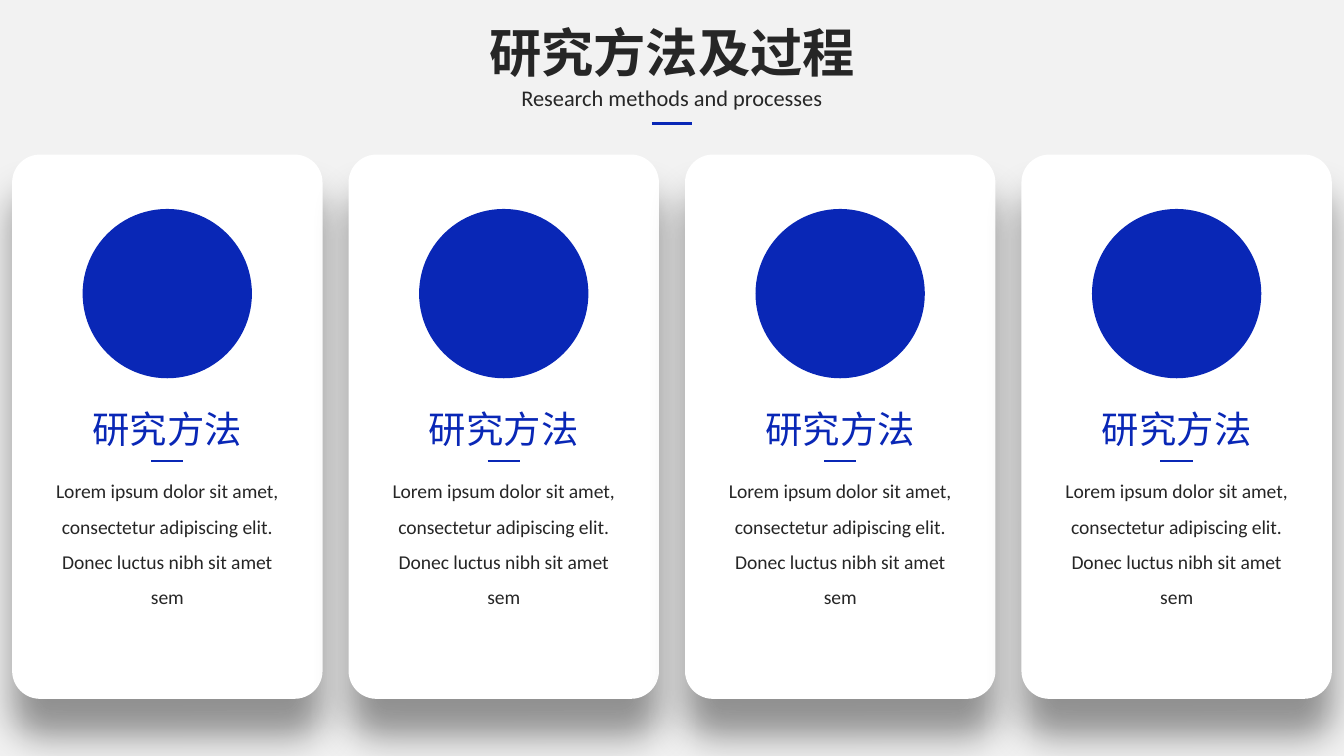
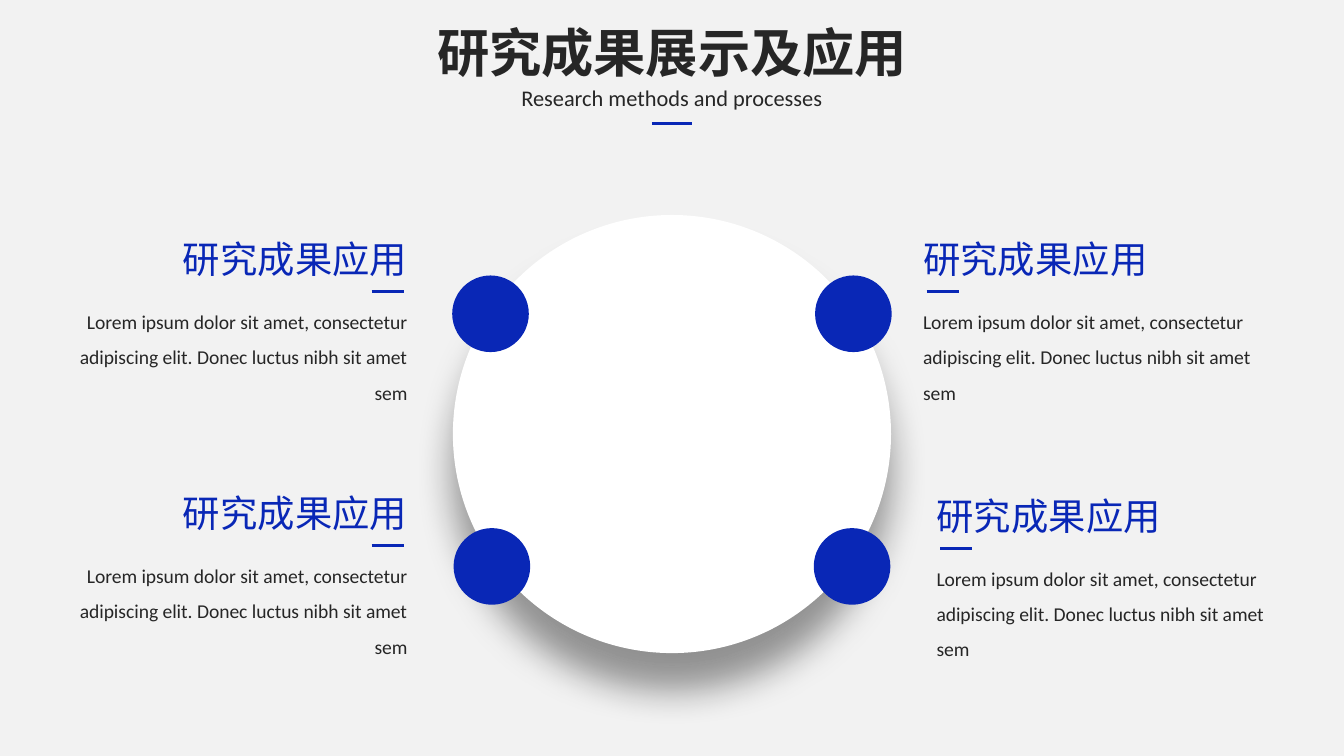
from dataclasses import dataclass

from lxml.etree import SubElement
from pptx import Presentation
from pptx.dml.color import RGBColor as Rgb
from pptx.enum.shapes import MSO_CONNECTOR as Connector
from pptx.enum.shapes import MSO_SHAPE as Preset
from pptx.enum.text import MSO_AUTO_SIZE as AutoSize
from pptx.enum.text import PP_ALIGN as Align
from pptx.oxml.ns import qn
from pptx.slide import Slide
from pptx.util import Inches, Pt


@dataclass(frozen=True)
class Theme:
    ground: str = "F2F2F2"
    panel: str = "FFFFFF"
    accent: str = "0927B6"
    ink: str = "262626"
    shade: str = "000000"
    cjk: str = "Noto Sans CJK SC"
    latin: str = "Calibri"
    title: float = 28
    subtitle: float = 12
    heading: float = 20
    body: float = 10.5
    rule: float = 1.5
    shadow_reach: float = 20
    shadow_opacity: int = 40


@dataclass(frozen=True)
class Area:
    """A place on the slide, in grid cells."""
    left: float
    top: float
    width: float
    height: float


@dataclass(frozen=True)
class TextStyle:
    font: str
    size: float
    color: str
    bold: bool = False
    spacing: float | None = None
    wrap: bool = False


@dataclass(frozen=True)
class Caption:
    """A heading, a short rule and a paragraph; anchor is the aligned edge or centre."""
    anchor: float
    rule_top: float
    align: Align
    heading: str
    width: float
    heading_width: float
    lines: int


THEME = Theme()
TITLE = TextStyle(THEME.cjk, THEME.title, THEME.ink, bold=True)
SUBTITLE = TextStyle(THEME.latin, THEME.subtitle, THEME.ink)
HEADING = TextStyle(THEME.cjk, THEME.heading, THEME.accent)
BODY = TextStyle(THEME.latin, THEME.body, THEME.ink, spacing=1.5, wrap=True)

# Square grid cells: 100 columns across a 16:9 slide
SLIDE_WIDTH = Inches(10)
SLIDE_HEIGHT = SLIDE_WIDTH * 9 // 16
COLUMNS = 100
CENTRE = COLUMNS / 2
RULE_WIDTH = 2.4
RULE_INSET = 1.25
HEADING_RISE = 4.6
LINE_HEIGHT = 2.65

LOREM = ("Lorem ipsum dolor sit amet, consectetur adipiscing elit. "
         "Donec luctus nibh sit amet sem")


def cells(count: float) -> int:
    return round(SLIDE_WIDTH * count / COLUMNS)


def aligned_left(anchor: float, width: float, align: Align) -> float:
    share = {Align.LEFT: 0, Align.CENTER: 0.5, Align.RIGHT: 1}[align]
    return anchor - width * share


def add_text(slide: Slide, area: Area, text: str, style: TextStyle, align: Align) -> None:
    box = slide.shapes.add_textbox(
        cells(area.left), cells(area.top), cells(area.width), cells(area.height))
    frame = box.text_frame
    frame.text = text
    frame.word_wrap = style.wrap
    frame.auto_size = AutoSize.SHAPE_TO_FIT_TEXT
    paragraph = frame.paragraphs[0]
    paragraph.alignment = align
    if style.spacing:
        paragraph.line_spacing = style.spacing
    for run in paragraph.runs:
        run.font.size = Pt(style.size)
        run.font.bold = style.bold
        run.font.color.rgb = Rgb.from_string(style.color)
        run.font.name = style.font
        SubElement(run.font._element, qn("a:ea"), typeface=style.font)


def add_rule(slide: Slide, left: float, top: float, width: float) -> None:
    rule = slide.shapes.add_connector(
        Connector.STRAIGHT, cells(left), cells(top), cells(left + width), cells(top))
    rule.line.color.rgb = Rgb.from_string(THEME.accent)
    rule.line.width = Pt(THEME.rule)
    SubElement(rule._element.spPr, qn("a:effectLst"))


def add_panel(slide: Slide, preset: Preset, area: Area, color: str,
              corner: float | None = None, raised: bool = False) -> None:
    panel = slide.shapes.add_shape(
        preset, cells(area.left), cells(area.top), cells(area.width), cells(area.height))
    panel.shadow.inherit = False
    panel.fill.solid()
    panel.fill.fore_color.rgb = Rgb.from_string(color)
    panel.line.fill.background()
    if corner is not None:
        panel.adjustments[0] = corner
    if raised:
        # Soft shadow falling straight down
        effects = panel._element.spPr.find(qn("a:effectLst"))
        reach = str(Pt(THEME.shadow_reach))
        shadow = SubElement(effects, qn("a:outerShdw"), blurRad=reach, dist=reach,
                            dir=str(90 * 60000), algn="t", rotWithShape="0")
        shade = SubElement(shadow, qn("a:srgbClr"), val=THEME.shade)
        SubElement(shade, qn("a:alpha"), val=str(THEME.shadow_opacity * 1000))


def add_disc(slide: Slide, centre_x: float, centre_y: float, size: float,
             color: str, raised: bool = False) -> None:
    area = Area(centre_x - size / 2, centre_y - size / 2, size, size)
    add_panel(slide, Preset.OVAL, area, color, raised=raised)


def add_caption(slide: Slide, caption: Caption) -> None:
    align, top = caption.align, caption.rule_top
    body_left = aligned_left(caption.anchor, caption.width, align)
    add_text(slide, Area(body_left, top, caption.width, 1 + caption.lines * LINE_HEIGHT),
             LOREM, BODY, align)
    heading_left = aligned_left(caption.anchor, caption.heading_width, align)
    add_text(slide, Area(heading_left, top - HEADING_RISE, caption.heading_width, 4.4),
             caption.heading, HEADING, align)
    inset = {Align.LEFT: RULE_INSET, Align.CENTER: 0, Align.RIGHT: -RULE_INSET}[align]
    add_rule(slide, aligned_left(caption.anchor + inset, RULE_WIDTH, align), top, RULE_WIDTH)


def add_titled_slide(deck: Presentation, title: str, title_width: float) -> Slide:
    slide = deck.slides.add_slide(deck.slide_layouts[6])
    slide.background.fill.solid()
    slide.background.fill.fore_color.rgb = Rgb.from_string(THEME.ground)
    add_text(slide, Area(CENTRE - title_width / 2, 1, title_width, 5.7),
             title, TITLE, Align.CENTER)
    add_text(slide, Area(CENTRE - 12.2, 5.8, 24.4, 3),
             "Research methods and processes", SUBTITLE, Align.CENTER)
    add_rule(slide, CENTRE - 1.5, 9.2, 3)
    return slide


def build_methods(deck: Presentation) -> None:
    slide = add_titled_slide(deck, "研究方法及过程", 29.5)
    count, margin, card_width = 4, 0.9, 23.1
    pitch = (COLUMNS - 2 * margin - card_width) / (count - 1)
    lefts = [margin + pitch * index for index in range(count)]
    centres = [left + card_width / 2 for left in lefts]

    # Cards, then their discs, then their captions
    for left in lefts:
        add_panel(slide, Preset.ROUNDED_RECTANGLE, Area(left, 11.5, card_width, 40.5),
                  THEME.panel, corner=0.09, raised=True)
    for centre in centres:
        add_disc(slide, centre, 21.85, 12.6, THEME.accent)
    for centre in centres:
        add_caption(slide, Caption(centre, 34.3, Align.CENTER, "研究方法", 18.8, 13.2, 4))


def build_results(deck: Presentation) -> None:
    slide = add_titled_slide(deck, "研究成果展示及应用", 37.4)

    # Central disc with four satellites on its edge
    add_disc(slide, CENTRE, 32.3, 32.6, THEME.panel, raised=True)
    for reach, height in ((13.5, 23.35), (13.4, 42.15)):
        for side in (-1, 1):
            add_disc(slide, CENTRE + side * reach, height, 5.7, THEME.accent)

    # One caption beside each satellite
    for anchor, rule_top, align in (
            (31.3, 21.7, Align.RIGHT), (31.3, 40.6, Align.RIGHT),
            (67.7, 21.7, Align.LEFT), (68.7, 40.8, Align.LEFT)):
        add_caption(slide, Caption(anchor, rule_top, align, "研究成果应用", 28.3, 18.8, 3))


def main() -> None:
    deck = Presentation()
    deck.slide_width = SLIDE_WIDTH
    deck.slide_height = SLIDE_HEIGHT
    build_methods(deck)
    build_results(deck)
    deck.save("out.pptx")


if __name__ == "__main__":
    main()
